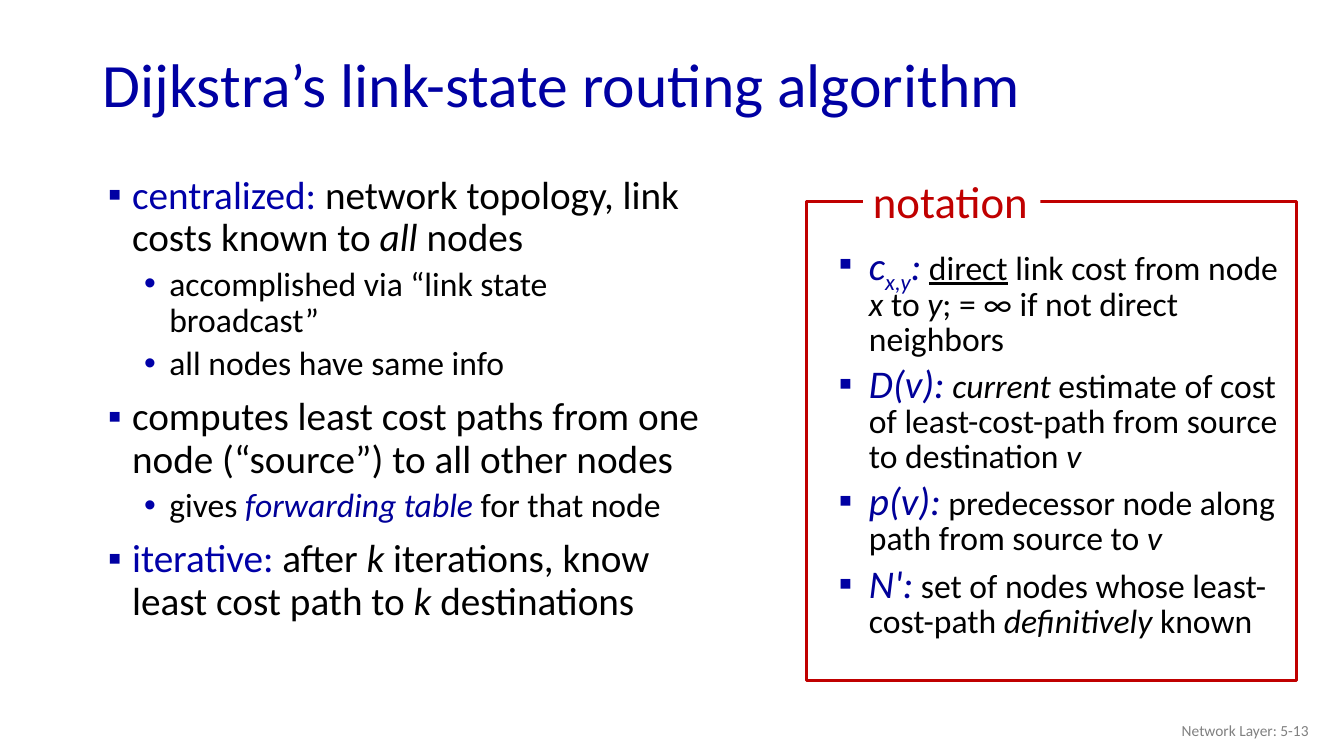
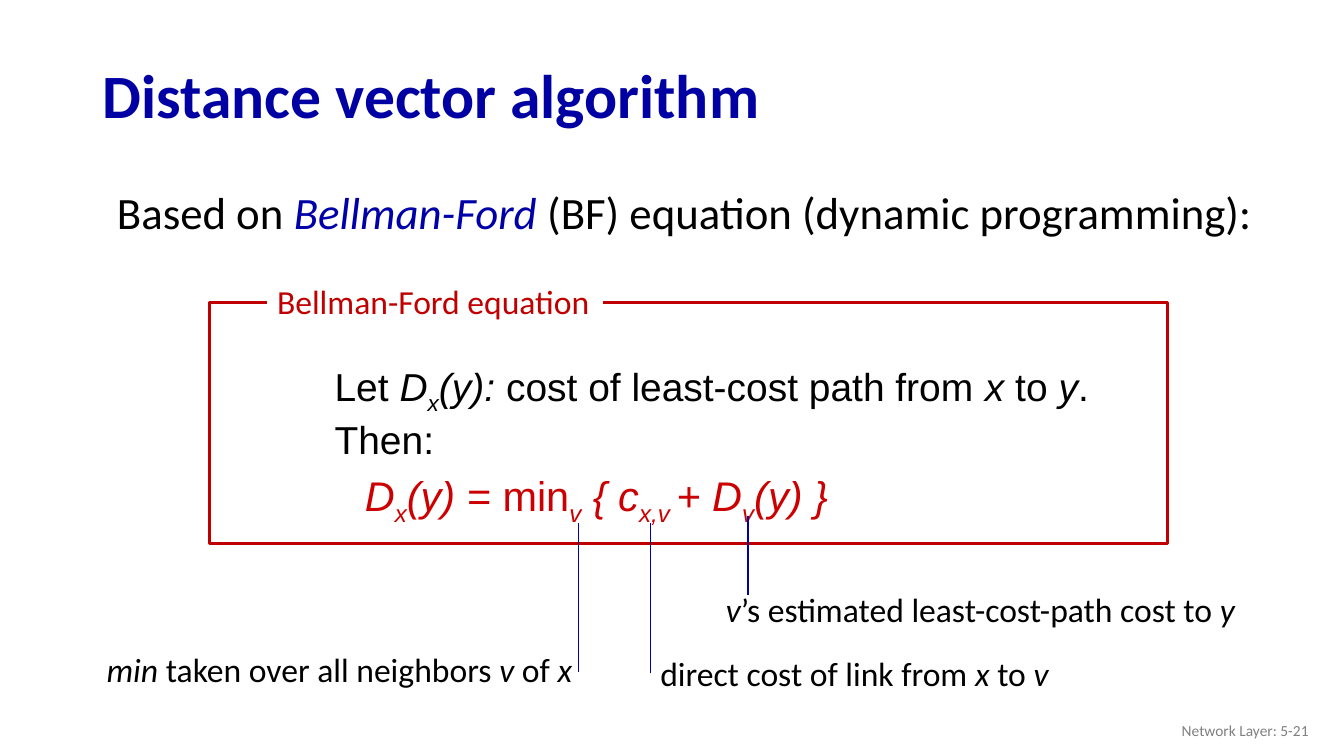
from dataclasses import dataclass

from lxml.etree import SubElement
from pptx import Presentation
from pptx.dml.color import RGBColor
from pptx.enum.shapes import MSO_CONNECTOR, MSO_SHAPE
from pptx.enum.text import MSO_ANCHOR, MSO_AUTO_SIZE, PP_ALIGN
from pptx.oxml.ns import qn
from pptx.util import Pt

EMU_PER_PX = 9144


@dataclass(frozen=True)
class Theme:
    font: str = "Calibri"
    math_font: str = "Arial"
    title: str = "0000A3"
    accent: str = "0000A8"
    term: str = "000099"
    text: str = "000000"
    frame: str = "C00000"
    formula: str = "CC0000"
    footer: str = "808080"
    paper: str = "FFFFFF"
    title_pt: float = 44
    lead_pt: float = 32
    body_pt: float = 28
    detail_pt: float = 24
    let_pt: float = 27.8
    formula_pt: float = 29.6
    footer_pt: float = 11


T = Theme()

RUN_STYLES = {
    "i": {"italic": True},
    "u": {"underline": True},
    "sub": {"baseline": "-25000"},
    "accent": {"color": T.accent},
    "term": {"color": T.term},
    "symbol": {"color": T.term, "italic": True, "size": T.body_pt},
}

BODY = {"size": T.body_pt, "color": T.text, "name": T.font}
DETAIL = {**BODY, "size": T.detail_pt}
LEAD = {**BODY, "size": T.lead_pt}
LEGEND = {**LEAD, "color": T.frame}
SMALL_LEGEND = {**LEGEND, "size": T.detail_pt}
LET = {"size": T.let_pt, "color": T.text, "name": T.math_font}
FORMULA = {**LET, "size": T.formula_pt, "color": T.formula}

ITEM = {"font": BODY, "line_spacing": 0.9, "space_before": Pt(10),
        "indent": (39, -24), "bullet": ("▪", T.title)}
SUBITEM = {"font": DETAIL, "level": 1, "line_spacing": 0.9, "space_before": Pt(5),
           "indent": (76, -25), "bullet": ("•", T.accent)}
NOTE = {"font": DETAIL, "line_spacing": 0.85, "space_before": Pt(6),
        "indent": (44, -30), "bullet": ("▪", T.title)}
INTRO = {"font": LEAD, "line_spacing": 0.8, "space_before": Pt(10),
         "indent": (14, 0), "bullet": None}
LET_LINE = {"font": LET, "line_spacing": 0.8, "space_before": Pt(10), "indent": (15, 0)}
FORMULA_LINE = {**LET_LINE, "font": FORMULA, "indent": (45, 0)}


def px(value):
    return value * EMU_PER_PX


def rgb(value):
    return RGBColor.from_string(value)


def place(sp, box):
    for name, value in zip(("left", "top", "width", "height"), box):
        setattr(sp, name, px(value))


def format_run(r, values):
    for name, value in values.items():
        if name == "color":
            r.font.color.rgb = rgb(value)
        elif name == "baseline":
            r._r.get_or_add_rPr().set(name, value)
        else:
            setattr(r.font, name, Pt(value) if name == "size" else value)


def set_bullet(pPr, bullet):
    if bullet is None:
        SubElement(pPr, qn("a:buNone"))
        return
    char, color = bullet
    SubElement(SubElement(pPr, qn("a:buClr")), qn("a:srgbClr")).set("val", color)
    SubElement(pPr, qn("a:buFont")).set("typeface", "Arial")
    SubElement(pPr, qn("a:buChar")).set("char", char)


def format_paragraph(p, values):
    pPr = p._p.get_or_add_pPr()
    for name, value in values.items():
        if name == "indent":
            for key, length in zip(("marL", "indent"), value):
                pPr.set(key, str(px(length)))
        elif name not in ("font", "bullet"):
            setattr(p, name, value)
    if "bullet" in values:
        set_bullet(pPr, values["bullet"])


def write(tf, paragraphs):
    for index, (style, *runs) in enumerate(paragraphs):
        p = tf.add_paragraph() if index else tf.paragraphs[0]
        format_paragraph(p, style)
        for run in runs:
            text, *names = (run,) if isinstance(run, str) else run
            r = p.add_run()
            r.text = text
            for values in (style["font"], *(RUN_STYLES[n] for n in names)):
                format_run(r, values)


def fill_text(sp, box, paragraphs, wrap=True, anchor=MSO_ANCHOR.TOP):
    place(sp, box)
    tf = sp.text_frame
    for name, value in {"word_wrap": wrap, "auto_size": MSO_AUTO_SIZE.NONE,
                        "vertical_anchor": anchor}.items():
        setattr(tf, name, value)
    write(tf, paragraphs)
    return sp


def add_text(s, box, paragraphs, **options):
    sp = s.shapes.add_textbox(0, 0, 0, 0)
    return fill_text(sp, box, paragraphs, **options)


def add_label(s, box, *runs, font=DETAIL):
    return add_text(s, box, [({"font": font}, *runs)], wrap=False)


def add_slide(prs, title, title_box, number, body_box, body, bold=False):
    s = prs.slides.add_slide(prs.slide_layouts[1])
    style = {"font": {"size": T.title_pt, "color": T.title, "name": T.font, "bold": bold},
             "line_spacing": 0.9, "alignment": PP_ALIGN.LEFT}
    fill_text(s.shapes.title, title_box, [(style, title)], anchor=MSO_ANCHOR.MIDDLE)
    fill_text(s.placeholders[1], body_box, body)
    footer = {"font": {"size": T.footer_pt, "color": T.footer, "name": T.font},
              "alignment": PP_ALIGN.RIGHT}
    add_text(s, (1008, 705, 300, 40), [(footer, f"Network Layer: {number}")],
             anchor=MSO_ANCHOR.MIDDLE)
    return s


def add_frame(s, box, line_pt, legend, legend_box, font):
    sp = s.shapes.add_shape(MSO_SHAPE.RECTANGLE, *map(px, box))
    sp.shadow.inherit = False
    sp.fill.background()
    sp.line.color.rgb = rgb(T.frame)
    sp.line.width = Pt(line_pt)
    label = add_label(s, legend_box, legend, font=font)
    label.fill.solid()
    label.fill.fore_color.rgb = rgb(T.paper)


def add_pointer(s, x, top, bottom, label=None):
    line = s.shapes.add_connector(MSO_CONNECTOR.STRAIGHT, *map(px, (x, bottom, x, top)))
    line.line.color.rgb = rgb(T.accent)
    line.line.width = Pt(1)
    SubElement(line._element.spPr, qn("a:effectLst"))
    if label is not None:
        line.begin_connect(label, 1)


def link_state_slide(prs):
    s = add_slide(prs, "Dijkstra’s link-state routing algorithm", (92, 38, 1076, 98),
                  "5-13", (82, 169, 624, 536), [
        (ITEM, ("centralized: ", "accent"), "network topology, link costs known to ",
         ("all", "i"), " nodes"),
        (SUBITEM, "accomplished via “link state broadcast”"),
        (SUBITEM, "all nodes have same info"),
        (ITEM, "computes least cost paths from one node (“source”) to all other nodes"),
        (SUBITEM, "gives ", ("forwarding table", "term", "i"), " for that node"),
        (ITEM, ("iterative: ", "accent"), "after ", ("k", "i"),
         " iterations, know least cost path to ", ("k ", "i"), "destinations"),
    ])
    add_text(s, (808, 237, 471, 463), [
        (NOTE, ("c", "symbol"), ("x,y", "symbol", "sub"), (":", "symbol"), " ",
         ("direct", "u"), " link cost from node ", ("x", "i"), " to ", ("y", "i"),
         "; = ∞ if not direct neighbors"),
        (NOTE, ("D(v):", "symbol"), (" current", "i"),
         " estimate of cost of least-cost-path from source to destination ", ("v", "i")),
        (NOTE, ("p(v):", "symbol"), " predecessor node along path from source to ",
         ("v", "i")),
        (NOTE, ("N':", "symbol"), " set of nodes whose least-cost-path ",
         ("definitively", "i"), " known"),
    ])
    add_frame(s, (800, 200, 486, 475), 2.25, "notation", (856, 167, 176, 64), LEGEND)


def distance_vector_slide(prs):
    s = add_slide(prs, "Distance vector algorithm", (92, 49, 1150, 98), "5-21",
                  (92, 189, 1183, 57), [
        (INTRO, "Based on ", ("Bellman-Ford", "accent", "i"),
         " (BF) equation (dynamic programming):"),
    ], bold=True)
    add_text(s, (307, 360, 870, 216), [
        (LET_LINE, "Let ", ("D", "i"), ("x", "i", "sub"), ("(y): ", "i"),
         "cost of least-cost path from ", ("x", "i"), " to ", ("y", "i"), "."),
        (LET_LINE, "Then:"),
        (FORMULA_LINE, ("D", "i"), ("x", "i", "sub"), ("(y) = ", "i"), "min",
         ("v", "i", "sub"), (" { c", "i"), ("x,v ", "i", "sub"), ("+ D", "i"),
         ("v", "i", "sub"), ("(y) }", "i")),
    ])
    add_frame(s, (208, 300, 950, 239), 2, "Bellman-Ford equation",
              (265, 274, 333, 50), SMALL_LEGEND)
    add_label(s, (96, 639, 486, 50), ("min", "i"), " taken over all neighbors",
              (" v ", "i"), "of ", ("x", "i"))
    add_label(s, (710, 579, 531, 50), ("v", "i"),
              "’s estimated least-cost-path cost to ", ("y", "i"))
    link_cost = add_label(s, (645, 643, 408, 50), "direct cost of link from",
                          (" x ", "i"), "to ", ("v", "i"))
    add_pointer(s, 574, 519, 667)
    add_pointer(s, 742, 512, 590)
    add_pointer(s, 645, 519, 668, link_cost)


def main():
    prs = Presentation()
    prs.slide_width, prs.slide_height = px(1333), px(750)
    link_state_slide(prs)
    distance_vector_slide(prs)
    prs.save("out.pptx")


if __name__ == "__main__":
    main()
